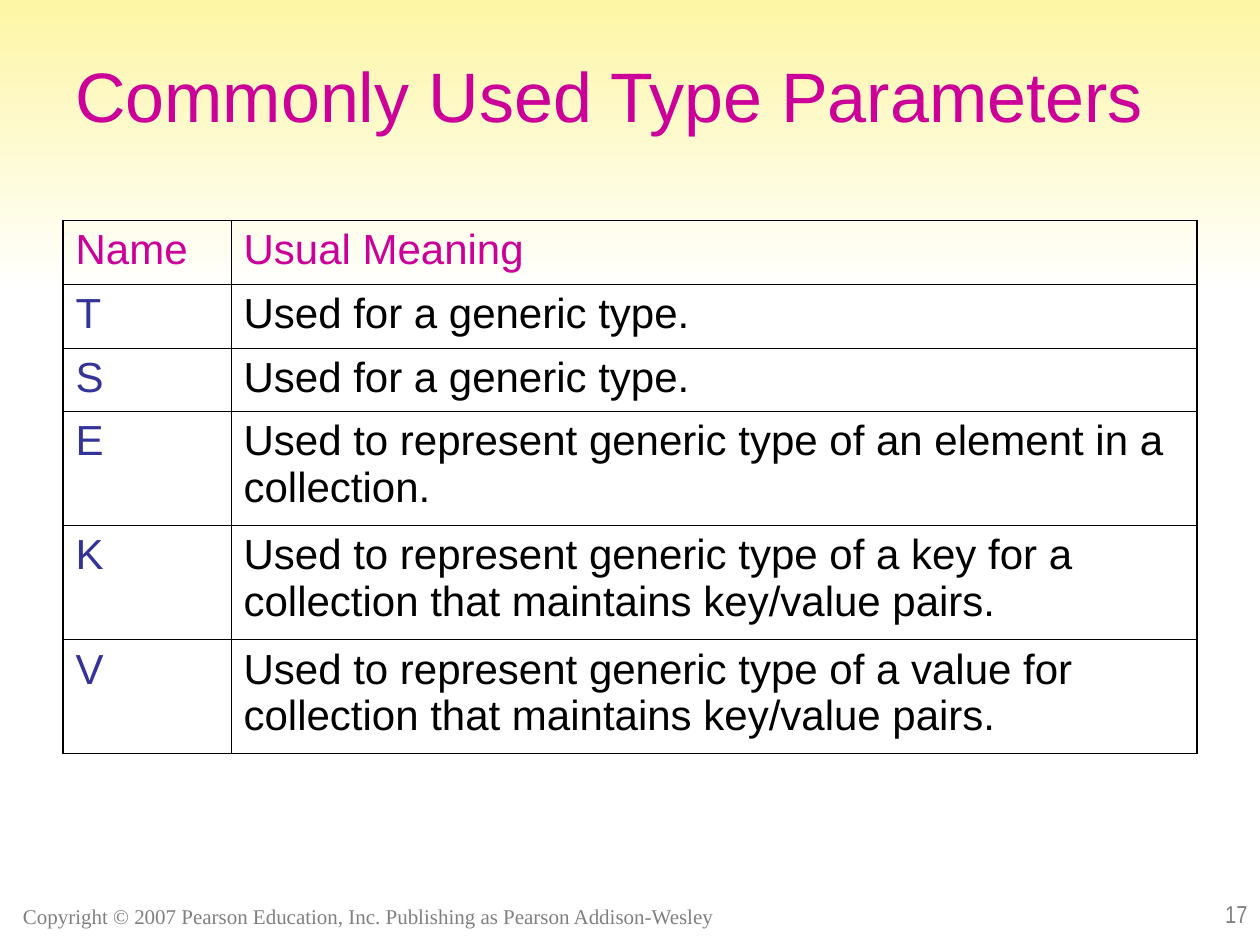
import pptx
import pptx.util
import pptx.dml.color
import pptx.enum.shapes
import pptx.enum.text
import pptx.oxml.ns
import lxml.etree

Pt = pptx.util.Pt
RGBColor = pptx.dml.color.RGBColor
Align = pptx.enum.text.PP_ALIGN
Anchor = pptx.enum.text.MSO_ANCHOR

PINK = RGBColor(0xCC, 0x00, 0x99)
BLUE = RGBColor(0x33, 0x33, 0x99)
BLACK = RGBColor(0x00, 0x00, 0x00)
GREY = RGBColor(0x80, 0x80, 0x80)
CREAM = RGBColor(0xFD, 0xF6, 0xA5)
WHITE = RGBColor(0xFF, 0xFF, 0xFF)

THICK, THIN = 1.08, 0.45
WIDTHS = [96, 552]
HEIGHTS = [36.5, 36.5, 36.2, 65.2, 65.2, 65]
ROWS = [
    ("Name", "Usual Meaning"),
    ("T", "Used for a generic type."),
    ("S", "Used for a generic type."),
    ("E", "Used to represent generic type of an element in a collection."),
    ("K", "Used to represent generic type of a key for a collection that maintains key/value pairs."),
    ("V", "Used to represent generic type of a value for collection that maintains key/value pairs."),
]


def write(frame, text, face, size, color, align=Align.LEFT):
    """Put one formatted run in a frame."""
    para = frame.paragraphs[0]
    para.alignment = align
    run = para.add_run()
    run.text = text
    run.font.name = face
    run.font.size = Pt(size)
    run.font.color.rgb = color


def edge(cell, side, width):
    """Draw one black border of a cell."""
    line = lxml.etree.SubElement(
        cell._tc.get_or_add_tcPr(), pptx.oxml.ns.qn("a:ln" + side), w=str(int(Pt(width))))
    fill = lxml.etree.SubElement(line, pptx.oxml.ns.qn("a:solidFill"))
    lxml.etree.SubElement(fill, pptx.oxml.ns.qn("a:srgbClr"), val=str(BLACK))


def add_band(slide, left, top, width, height):
    """Fade the top of the slide from cream to white."""
    band = slide.shapes.add_shape(
        pptx.enum.shapes.MSO_SHAPE.RECTANGLE, Pt(left), Pt(top), Pt(width), Pt(height))
    band.shadow.inherit = False
    band.line.fill.background()
    band.fill.gradient()
    band.fill.gradient_angle = 270
    for stop, color, place in zip(band.fill.gradient_stops, (CREAM, WHITE), (0, 1)):
        stop.color.rgb = color
        stop.position = place
    band.element.getparent().insert(2, band.element)


def add_title(slide, left, top, width, height):
    """Place and fill the title."""
    title = slide.shapes.title
    title.left, title.top, title.width, title.height = map(Pt, (left, top, width, height))
    frame = title.text_frame
    frame.auto_size = pptx.enum.text.MSO_AUTO_SIZE.NONE
    frame.vertical_anchor = Anchor.MIDDLE
    write(frame, "Commonly Used Type Parameters", "Arial", 40, PINK, Align.CENTER)


def add_grid(slide, left, top):
    """Build the table of type parameters."""
    grid = slide.shapes.add_table(
        len(ROWS), len(WIDTHS), Pt(left), Pt(top), Pt(sum(WIDTHS)), Pt(sum(HEIGHTS))).table
    grid.first_row = grid.horz_banding = False
    for col, width in zip(grid.columns, WIDTHS):
        col.width = Pt(width)
    last = len(ROWS) - 1
    for i, texts in enumerate(ROWS):
        grid.rows[i].height = Pt(HEIGHTS[i])
        for j, text in enumerate(texts):
            cell = grid.cell(i, j)
            color = PINK if i == 0 else (BLUE, BLACK)[j]
            write(cell.text_frame, text, "Arial", 24, color)
            outer = {"L": j == 0, "R": j == 1, "T": i == 0, "B": i == last}
            for side, thick in outer.items():
                edge(cell, side, THICK if thick else THIN)
            cell.fill.background()


def add_note(slide, left, top, width, height, text, face, size, align):
    """Add a grey line of text at the foot."""
    box = slide.shapes.add_textbox(Pt(left), Pt(top), Pt(width), Pt(height))
    frame = box.text_frame
    frame.word_wrap = True
    frame.vertical_anchor = Anchor.BOTTOM
    write(frame, text, face, size, GREY, align)


def main():
    """Build and save the slide."""
    deck = pptx.Presentation()
    deck.slide_width, deck.slide_height = Pt(720), Pt(540)
    slide = deck.slides.add_slide(deck.slide_layouts[5])
    add_band(slide, 0, 0, 720, 168)
    add_title(slide, 24, 24, 648, 60)
    add_grid(slide, 36, 126)
    add_note(slide, 6, 504, 426, 30,
             "Copyright © 2007 Pearson Education, Inc. Publishing as Pearson Addison-Wesley",
             "Times New Roman", 12, Align.LEFT)
    add_note(slide, 570, 498, 150, 36, "17", "Arial Narrow", 14, Align.RIGHT)
    deck.save("out.pptx")


if __name__ == "__main__":
    main()
